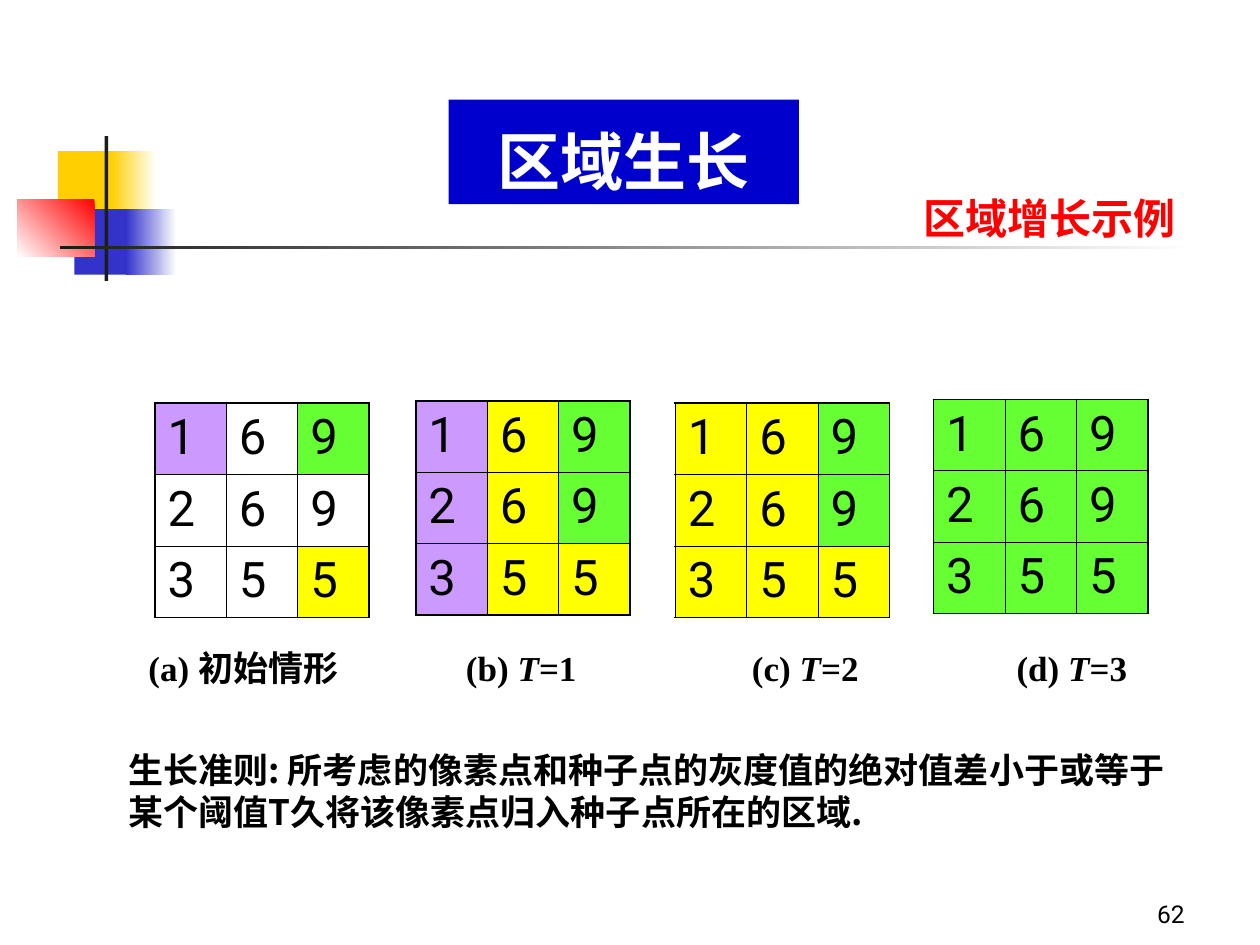
"""Build the region growing example slide."""
from lxml import etree
from pptx import Presentation
from pptx.dml.color import RGBColor
from pptx.enum.shapes import MSO_SHAPE
from pptx.enum.text import MSO_ANCHOR, PP_ALIGN
from pptx.oxml.ns import qn
from pptx.util import Inches, Pt

RECTANGLE = MSO_SHAPE.RECTANGLE
BOTTOM = MSO_ANCHOR.BOTTOM
TOP = MSO_ANCHOR.TOP
LEFT, CENTER, RIGHT = PP_ALIGN.LEFT, PP_ALIGN.CENTER, PP_ALIGN.RIGHT
CHINESE_FONT = "Noto Sans CJK SC"
BLACK, WHITE = "000000", "FFFFFF"


def color(value):
    return RGBColor.from_string(value)


def style(para, size, font_name, text_color, bold=False, align=LEFT):
    para.alignment = align
    font = para.font
    font.size = Pt(size)
    font.bold = bold
    font.color.rgb = color(text_color)
    font.name = font_name
    defaults = para._p.pPr.find(qn("a:defRPr"))
    etree.SubElement(defaults, qn("a:ea"), typeface=CHINESE_FONT)


deck = Presentation()
deck.slide_width = Inches(10)
deck.slide_height = Inches(7.5)
page = deck.slides.add_slide(deck.slide_layouts[6])

# left, top, width, height, colours from start to end, gradient angle
blocks = [
    (0.46, 1.2, 0.48, 0.52, ["FFCF01"], 0),
    (0.88, 1.2, 0.36, 0.52, [WHITE, "FFCF01"], 180),
    (0.59, 1.66, 0.46, 0.52, ["3333CC"], 0),
    (1, 1.66, 0.4, 0.52, [WHITE, "3333CC"], 180),
    (0.14, 1.58, 0.61, 0.46, ["FF0000", WHITE], 225),
    (0.83, 1.08, 0.03, 1.15, ["1C1C1C"], 0),
    (0.48, 1.95, 9, 0.03, [WHITE, "1C1C1C"], 180),
    (3.56, 0.79, 2.78, 0.83, ["0000CC"], 0),
]
for *bounds, shades, angle in blocks:
    block = page.shapes.add_shape(RECTANGLE, *map(Inches, bounds))
    block.shadow.inherit = False
    block.line.fill.background()
    if len(shades) == 1:
        block.fill.solid()
        block.fill.fore_color.rgb = color(shades[0])
    else:
        block.fill.gradient()
        block.fill.gradient_angle = angle
        for stop, shade in zip(block.fill.gradient_stops, shades):
            stop.color.rgb = color(shade)

title = block.text_frame
title.vertical_anchor = BOTTOM
title.text = "区域生长"
style(title.paragraphs[0], 36, "Times New Roman", WHITE, True, CENTER)

values = ["169", "269", "355"]
fills = {"P": "CC99FF", "Y": "FFFF00", "G": "66FF33"}
grids = [
    (1.23, 3.2, ["P-G", "---", "--Y"]),
    (3.3, 3.18, ["PYG", "PYG", "PYY"]),
    (5.36, 3.2, ["YYG", "YYG", "YYY"]),
    (7.41, 3.17, ["GGG", "GGG", "GGG"]),
]
for left, top, regions in grids:
    frame = page.shapes.add_table(3, 3, Inches(left), Inches(top), Inches(1.7), Inches(1.7))
    table = frame.table
    table.first_row = False
    table.horz_banding = False
    for row in range(3):
        for column in range(3):
            cell = table.cell(row, column)
            cell.text = values[row][column]
            style(cell.text_frame.paragraphs[0], 28, "Roboto", BLACK)
            properties = cell._tc.get_or_add_tcPr()
            outer_sides = {"L": column == 0, "R": column == 2, "T": row == 0, "B": row == 2}
            for side, outer in outer_sides.items():
                width = Pt(1.08 if outer else 0.45)
                border = etree.SubElement(properties, qn(f"a:ln{side}"), w=str(width))
                paint = etree.SubElement(border, qn("a:solidFill"))
                etree.SubElement(paint, qn("a:srgbClr"), val=BLACK)
            region = regions[row][column]
            if region in fills:
                cell.fill.solid()
                cell.fill.fore_color.rgb = color(fills[region])
            else:
                cell.fill.background()

criterion = "生长准则: 所考虑的像素点和种子点的灰度值的绝对值差小于或等于某个阈值T久将该像素点归入种子点所在的区域."
captions = ["(a) 初始情形\t(b) ", "T", "=1\t(c) ", "T", "=2\t(d) ", "T", "=3"]
texts = [
    (7.1, 1.48, 2.46, 0.5, ["区域增长示例"], 24, "Times New Roman", "FF0000", True, CENTER, TOP),
    (1.08, 5.08, 7.97, 0.44, captions, 20, "Times New Roman", BLACK, True, LEFT, TOP),
    (0.92, 5.89, 8.63, 0.77, [criterion], 20, CHINESE_FONT, BLACK, True, LEFT, TOP),
    (7.42, 6.92, 2.08, 0.5, ["62"], 14, "Roboto", BLACK, False, RIGHT, BOTTOM),
]
for *bounds, pieces, size, font_name, text_color, bold, align, anchor in texts:
    box = page.shapes.add_textbox(*map(Inches, bounds))
    box.text_frame.word_wrap = True
    box.text_frame.vertical_anchor = anchor
    para = box.text_frame.paragraphs[0]
    if pieces is captions:
        tabs = etree.SubElement(para._p.get_or_add_pPr(), qn("a:tabLst"))
        for position in (2.52, 4.79, 6.89):
            etree.SubElement(tabs, qn("a:tab"), pos=str(Inches(position)), algn="l")
    style(para, size, font_name, text_color, bold, align)
    for piece in pieces:
        span = para.add_run()
        span.text = piece
        if piece == "T":
            span.font.italic = True

deck.save("out.pptx")
